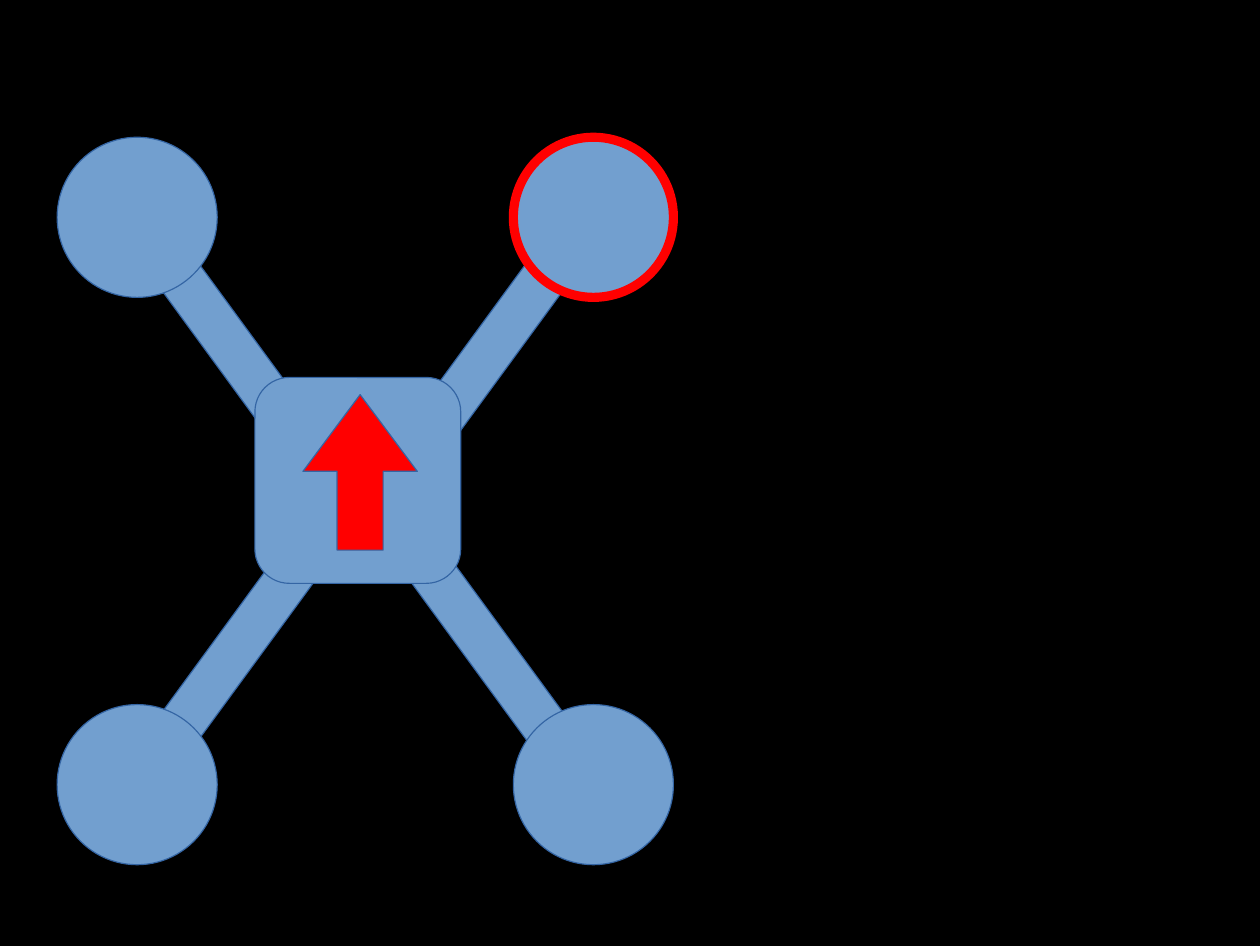
from pptx import Presentation
from pptx.dml.color import RGBColor
from pptx.enum.shapes import MSO_SHAPE
from pptx.util import Inches, Pt

BLACK = RGBColor(0x00, 0x00, 0x00)
BLUE = RGBColor(0x72, 0x9F, 0xCF)
DARK_BLUE = RGBColor(0x34, 0x65, 0xA4)
RED = RGBColor(0xFF, 0x00, 0x00)

ARM_ANGLE = 53.8
ROTOR_SIZE = 1.4

presentation = Presentation()
presentation.slide_width = Inches(11.02)
presentation.slide_height = Inches(8.27)
slide = presentation.slides.add_slide(presentation.slide_layouts[6])
slide.background.fill.solid()
slide.background.fill.fore_color.rgb = BLACK


def add_part(kind, left, top, width, height, fill=BLUE, line=DARK_BLUE,
             line_width=0, rotation=0, adjustments=()):
    shape = slide.shapes.add_shape(
        kind, Inches(left), Inches(top), Inches(width), Inches(height))
    shape.shadow.inherit = False
    shape.fill.solid()
    shape.fill.fore_color.rgb = fill
    shape.line.color.rgb = line
    shape.line.width = Pt(line_width)
    shape.rotation = rotation
    for index, value in enumerate(adjustments):
        shape.adjustments[index] = value


for top, slope in ((2.65, 1), (5.72, -1)):
    for left, side in ((0.24, 1), (2.8, -1)):
        add_part(MSO_SHAPE.RECTANGLE, left, top, 3.3, 0.4,
                 rotation=slope * side * ARM_ANGLE % 360)

add_part(MSO_SHAPE.ROUNDED_RECTANGLE, 2.23, 3.3, 1.8, 1.8, adjustments=(0.167,))
add_part(MSO_SHAPE.UP_ARROW, 2.65, 3.45, 1, 1.36, fill=RED,
         adjustments=(0.403, 0.671))

for top in (1.2, 6.16):
    for left in (0.5, 4.49):
        highlighted = (left, top) == (4.49, 1.2)
        add_part(MSO_SHAPE.OVAL, left, top, ROTOR_SIZE, ROTOR_SIZE,
                 line=RED if highlighted else DARK_BLUE,
                 line_width=5.75 if highlighted else 0)

presentation.save("out.pptx")
